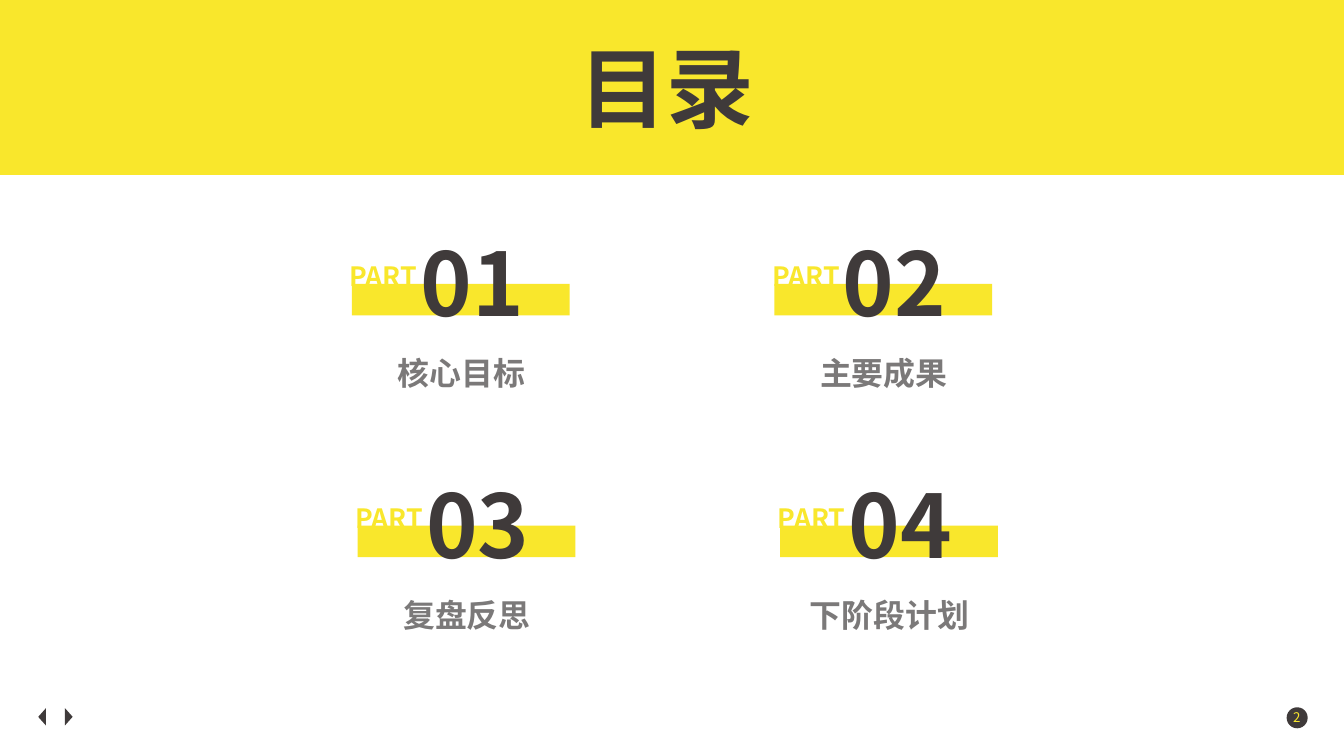
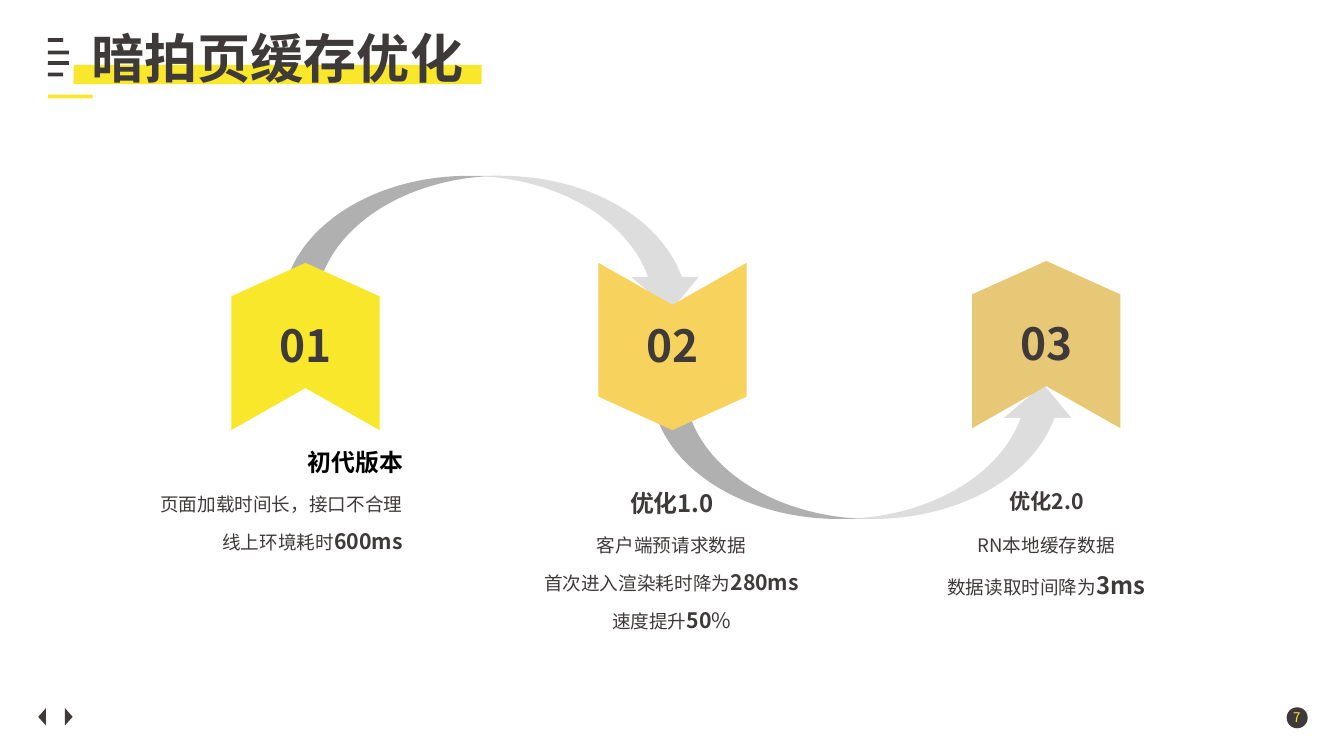
from pptx import Presentation
from pptx.dml.color import RGBColor
from pptx.enum.shapes import MSO_SHAPE
from pptx.enum.text import MSO_ANCHOR, MSO_AUTO_SIZE, PP_ALIGN
from pptx.oxml.ns import qn
from pptx.util import Inches, Pt
from lxml import etree

# Shared style
FONT = "Noto Sans CJK SC"
YELLOW, DARK, GREY, PALE = "F9E72C", "3F3A3A", "7B7979", "DDDDDD"
AMBER, SAND, BLACK = "F7D25C", "E7C876", "000000"
LEFT, CENTER, RIGHT = PP_ALIGN.LEFT, PP_ALIGN.CENTER, PP_ALIGN.RIGHT
RECT, OVAL = MSO_SHAPE.RECTANGLE, MSO_SHAPE.OVAL
TRI, CURVE = MSO_SHAPE.ISOSCELES_TRIANGLE, MSO_SHAPE.CURVED_UP_ARROW
TOP, GROW = MSO_ANCHOR.TOP, MSO_AUTO_SIZE.SHAPE_TO_FIT_TEXT


def rgb(color):
    return RGBColor.from_string(color)


def paint(item, color):
    item.shadow.inherit = False
    item.fill.solid()
    item.fill.fore_color.rgb = rgb(color)
    item.line.fill.background()


def shape(slide, kind, box, color, turn=0):
    item = slide.shapes.add_shape(kind, *map(Inches, box))
    paint(item, color)
    item.rotation = turn
    return item


def write(frame, lines, size=14, color=DARK, bold=False, align=LEFT, space=None):
    """Each line is a string or a list of (text, size, bold) runs."""
    frame.word_wrap = True
    frame.auto_size = GROW
    frame.vertical_anchor = TOP
    for i, line in enumerate(lines):
        para = frame.add_paragraph() if i else frame.paragraphs[0]
        para.alignment = align
        if space:
            para.line_spacing = space
        parts = [(line, size, bold)] if isinstance(line, str) else line
        for words, points, heavy in parts:
            run = para.add_run()
            run.text = words
            font = run.font
            font.name, font.size, font.bold = FONT, Pt(points), heavy
            font.color.rgb = rgb(color)
            east = etree.SubElement(run._r.get_or_add_rPr(), qn("a:ea"))
            east.set("typeface", FONT)


def text(slide, box, *lines, **style):
    item = slide.shapes.add_textbox(*map(Inches, box))
    write(item.text_frame, lines, **style)


def title(slide, box, words, size):
    item = slide.shapes.title
    item.left, item.top, item.width, item.height = map(Inches, box)
    write(item.text_frame, [words], size=size, bold=True)
    slide.shapes._spTree.append(item._element)  # bring in front of its band


def footer(slide, page):
    for left, turn in ((0.35, 270), (0.63, 90)):
        shape(slide, TRI, (left, 7.46, 0.18, 0.08), DARK, turn)
    shape(slide, OVAL, (13.46, 7.4, 0.22, 0.22), DARK)
    text(slide, (13.43, 7.37, 0.28, 0.27), page, size=10, color=YELLOW)


# Contents slide
def part(slide, x, y, num, name):
    shape(slide, RECT, (x, y, 2.28, 0.33), YELLOW)
    text(slide, (x - 0.12, y - 0.3, 0.97, 0.44), "PART",
         size=20, color=YELLOW, bold=True)
    text(slide, (x + 0.62, y - 0.62, 1.35, 1.21), num, size=66, bold=True)
    text(slide, (x + 0.12, y + 0.48, 2.05, 0.64), name,
         size=24, color=GREY, bold=True, align=CENTER, space=1.5)


def contents(slide):
    shape(slide, RECT, (0, 0, 14.06, 1.83), YELLOW)
    footer(slide, "2")
    title(slide, (5.96, 0.31, 2.14, 1.21), "目录", 66)
    names = ("核心目标", "主要成果", "复盘反思", "下阶段计划")
    for i, name in enumerate(names):
        row, col = divmod(i, 2)
        part(slide, 3.68 + 4.42 * col + 0.06 * row, 2.97 + 2.53 * row,
             f"0{i + 1}", name)


# Steps slide
def header(slide, words):
    for top, wide in ((0.4, 0.16), (0.53, 0.22), (0.64, 0.22), (0.76, 0.16)):
        shape(slide, RECT, (0.5, top, wide, 0.04), DARK)
    shape(slide, RECT, (0.77, 0.68, 4.27, 0.2), YELLOW)
    shape(slide, RECT, (0.5, 0.99, 0.47, 0.04), YELLOW)
    title(slide, (0.86, 0.22, 5.67, 0.77), words, 40)


def badge(slide, x, y, num, color, down=False):
    wide, high, slope, notch = 1.55, 1.75, 0.35, 0.44
    mid = wide / 2
    points = [(0, high), (mid, high - notch), (wide, high),
              (wide, slope), (mid, 0), (0, slope)]
    if down:
        points = [(px, high - py) for px, py in points]
    points = [(Inches(x + px), Inches(y + py)) for px, py in points]
    pen = slide.shapes.build_freeform(*points[0])
    pen.add_line_segments(points[1:], close=True)
    paint(pen.convert_to_shape(), color)
    text(slide, (x + 0.08, y + 0.53, 1.39, 0.66), num,
         size=33.3, bold=True, align=CENTER)


def steps(slide):
    footer(slide, "7")
    header(slide, "暗拍页缓存优化")
    arc = shape(slide, CURVE, (2.95, 1.84, 4.42, 1.41), PALE)
    arc._element.spPr.find(qn("a:xfrm")).set("flipV", "1")
    shape(slide, CURVE, (6.81, 4.02, 4.46, 1.41), PALE)

    badge(slide, 2.42, 2.75, "01", YELLOW)
    badge(slide, 6.26, 2.75, "02", AMBER, down=True)
    badge(slide, 10.17, 2.73, "03", SAND)

    text(slide, (2.23, 4.63, 2.09, 0.4), "初代版本",
         size=18, color=BLACK, bold=True, align=RIGHT)
    text(slide, (1.04, 4.99, 3.27, 0.86), "页面加载时间长，接口不合理",
         [("线上环境耗时", 14, False), ("600ms", 16, True)],
         align=RIGHT, space=1.5)

    text(slide, (5.98, 5.06, 2.1, 0.4), "优化1.0",
         size=18, bold=True, align=CENTER)
    text(slide, (5.43, 5.42, 3.19, 1.26), "客户端预请求数据",
         [("首次进入渲染耗时降为", 14, False), ("280ms", 16, True)],
         [("速度提升", 14, False), ("50", 16, True), ("%", 16, False)],
         align=CENTER, space=1.5)

    text(slide, (9.9, 5.06, 2.1, 0.37), "优化2.0",
         size=16, bold=True, align=CENTER)
    text(slide, (9.35, 5.42, 3.19, 0.91), "RN本地缓存数据",
         [("数据读取时间降为", 14, False), ("3ms", 18, True)],
         align=CENTER, space=1.5)


def main():
    deck = Presentation()
    deck.slide_width, deck.slide_height = Inches(14.06), Inches(7.91)
    for build in (contents, steps):
        build(deck.slides.add_slide(deck.slide_layouts[5]))
    deck.save("out.pptx")


if __name__ == "__main__":
    main()
